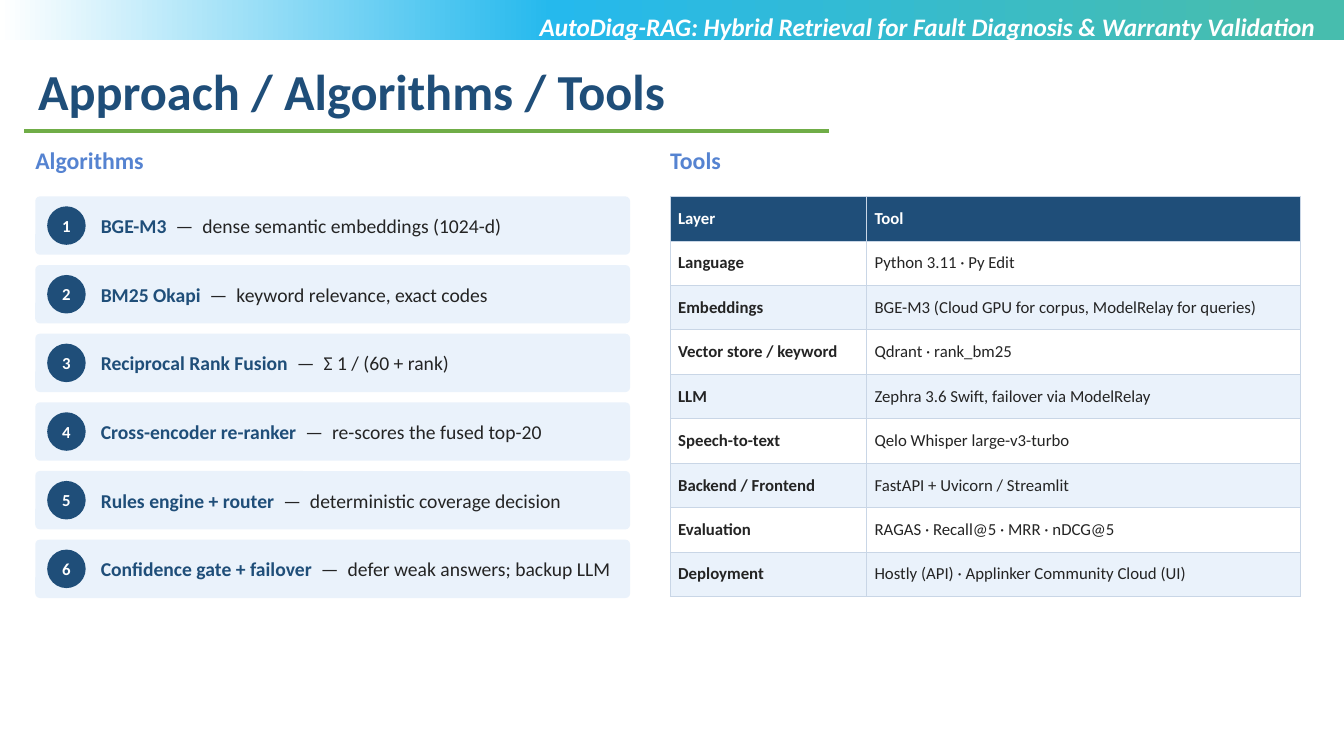
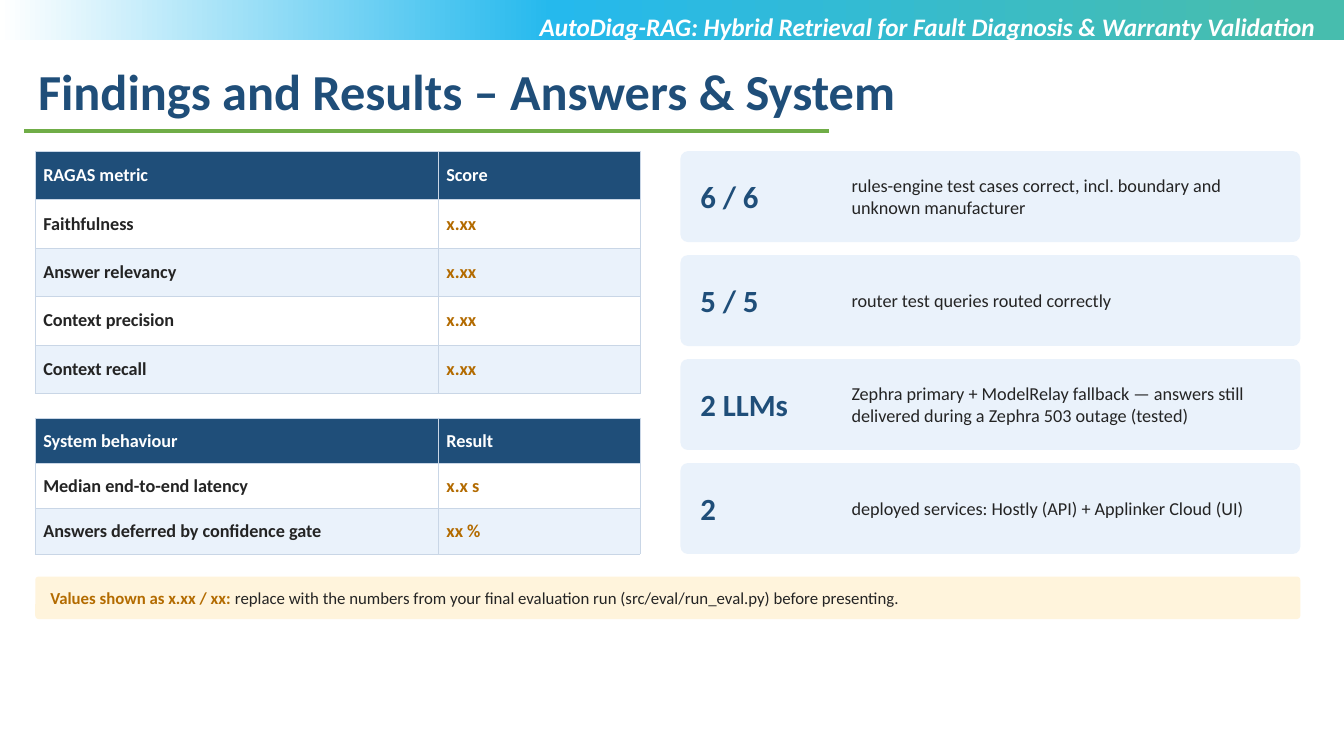
"""Build two slides on the approach and the results of a retrieval project."""
from dataclasses import dataclass
from typing import Any

from lxml.etree import SubElement as Sub
from pptx import Presentation as Deck
from pptx.dml.color import RGBColor as Rgb
from pptx.enum.shapes import MSO_CONNECTOR as Link, MSO_SHAPE as Kind
from pptx.enum.text import MSO_ANCHOR as Anchor, PP_ALIGN as Align
from pptx.oxml.ns import qn
from pptx.util import Cm, Pt

FONT = "Calibri"
NAVY, BLUE, GREEN = "1F4E79", "5583D1", "70AD47"
INK, WHITE, AMBER = "242424", "FFFFFF", "B36B00"
PALE, CREAM, RULE = "EAF2FB", "FFF4DC", "C9D6E6"
BAND = ((0, WHITE), (41, "25B9ED"), (95, "47BDAE"))
HEAD = "AutoDiag-RAG: Hybrid Retrieval for Fault Diagnosis & Warranty Validation"
WIDE, HIGH, LEFT = 33.87, 19.05, 0.89


@dataclass(frozen=True)
class Box:
    x: float
    y: float
    w: float
    h: float

    def cm(self) -> tuple:
        return Cm(self.x), Cm(self.y), Cm(self.w), Cm(self.h)


@dataclass(frozen=True)
class Item:
    name: str
    text: str


@dataclass(frozen=True)
class Grid:
    x: float
    y: float
    cols: tuple
    high: float
    size: int
    rows: tuple
    last: str = INK
    bold: bool = False


STEPS = (
    Item("BGE-M3", "dense semantic embeddings (1024-d)"),
    Item("BM25 Okapi", "keyword relevance, exact codes"),
    Item("Reciprocal Rank Fusion", "Σ 1 / (60 + rank)"),
    Item("Cross-encoder re-ranker", "re-scores the fused top-20"),
    Item("Rules engine + router", "deterministic coverage decision"),
    Item("Confidence gate + failover", "defer weak answers; backup LLM"),
)
TOOLS = Grid(16.89, 4.95, (4.95, 10.92), 1.12, 12, (
    ("Layer", "Tool"),
    ("Language", "Python 3.11 · Py Edit"),
    ("Embeddings", "BGE-M3 (Cloud GPU for corpus, ModelRelay for queries)"),
    ("Vector store / keyword", "Qdrant · rank_bm25"),
    ("LLM", "Zephra 3.6 Swift, failover via ModelRelay"),
    ("Speech-to-text", "Qelo Whisper large-v3-turbo"),
    ("Backend / Frontend", "FastAPI + Uvicorn / Streamlit"),
    ("Evaluation", "RAGAS · Recall@5 · MRR · nDCG@5"),
    ("Deployment", "Hostly (API) · Applinker Community Cloud (UI)"),
))
SCORES = Grid(LEFT, 3.81, (10.16, 5.08), 1.22, 13, (
    ("RAGAS metric", "Score"),
    ("Faithfulness", "x.xx"),
    ("Answer relevancy", "x.xx"),
    ("Context precision", "x.xx"),
    ("Context recall", "x.xx"),
), AMBER, True)
SYSTEM = Grid(LEFT, 10.54, (10.16, 5.08), 1.14, 13, (
    ("System behaviour", "Result"),
    ("Median end-to-end latency", "x.x s"),
    ("Answers deferred by confidence gate", "xx %"),
), AMBER, True)
FACTS = (
    Item("6 / 6", "rules-engine test cases correct, incl. boundary and unknown manufacturer"),
    Item("5 / 5", "router test queries routed correctly"),
    Item("2 LLMs", "Zephra primary + ModelRelay fallback — answers still "
                   "delivered during a Zephra 503 outage (tested)"),
    Item("2", "deployed services: Hostly (API) + Applinker Cloud (UI)"),
)


def tint(code: str) -> Rgb:
    return Rgb.from_string(code)


def write(frame: Any, text: str, *, size: float, color: str = INK, bold: bool = False,
          slant: bool = False, align: Align = Align.LEFT, gap: float = 0) -> None:
    para = frame.paragraphs[0]
    para.alignment = align
    run = para.add_run()
    run.text = text
    font = run.font
    font.name, font.size, font.bold, font.italic = FONT, Pt(size), bold, slant
    font.color.rgb = tint(color)
    if gap:
        run._r.get_or_add_rPr().set("spc", str(round(gap * 100)))


def trim(frame: Any) -> None:
    frame.margin_left = frame.margin_right = frame.margin_top = frame.margin_bottom = 0
    frame.vertical_anchor = Anchor.MIDDLE


def label(slide: Any, box: Box, tight: bool = True) -> Any:
    frame = slide.shapes.add_textbox(*box.cm()).text_frame
    frame.word_wrap = True
    if tight:
        trim(frame)
    return frame


def block(slide: Any, kind: Kind, box: Box, color: str) -> Any:
    shape = slide.shapes.add_shape(kind, *box.cm())
    shape.shadow.inherit = False
    shape.fill.solid()
    shape.fill.fore_color.rgb = tint(color)
    shape.line.fill.background()
    return shape


def card(slide: Any, box: Box, color: str = PALE) -> None:
    block(slide, Kind.ROUNDED_RECTANGLE, box, color).adjustments[0] = 0.08


def band(slide: Any) -> None:
    shape = block(slide, Kind.RECTANGLE, Box(0, 0, WIDE, 1.02), WHITE)
    shape.fill.gradient()
    shape.fill.gradient_angle = 0
    stops = shape.element.spPr.find(qn("a:gradFill")).find(qn("a:gsLst"))
    for old in list(stops):
        stops.remove(old)
    for spot, code in BAND:
        stop = Sub(stops, qn("a:gs"), pos=str(spot * 1000))
        Sub(stop, qn("a:srgbClr"), val=code)
    slide.slide_layout.shapes.element.append(shape.element)


def start(deck: Any, title: str) -> Any:
    slide = deck.slides.add_slide(deck.slide_layouts[6])
    write(label(slide, Box(0.71, 1.4, 29.51, 1.8), False), title,
          size=36, color=NAVY, bold=True)
    line = slide.shapes.add_connector(Link.STRAIGHT, Cm(0.61), Cm(3.3), Cm(20.9), Cm(3.3))
    line.line.color.rgb = tint(GREEN)
    line.line.width = Pt(2.25)
    Sub(line.element.spPr, qn("a:effectLst"))
    write(label(slide, Box(7.87, 0.15, 25.53, 1.8), False), HEAD,
          size=18, color=WHITE, bold=True, slant=True, align=Align.RIGHT)
    return slide


def edge(cell: Any) -> None:
    props = cell._tc.get_or_add_tcPr()
    for side in ("lnL", "lnR", "lnT", "lnB"):
        line = Sub(props, qn(f"a:{side}"), w=str(Pt(0.5)))
        Sub(Sub(line, qn("a:solidFill")), qn("a:srgbClr"), val=RULE)


def table(slide: Any, grid: Grid) -> None:
    count = len(grid.rows)
    box = Box(grid.x, grid.y, sum(grid.cols), grid.high * count)
    body = slide.shapes.add_table(count, len(grid.cols), *box.cm()).table
    body.horz_banding = False
    for col, wide in zip(body.columns, grid.cols):
        col.width = Cm(wide)
    for i, texts in enumerate(grid.rows):
        body.rows[i].height = Cm(grid.high)
        fill = PALE if i % 2 == 0 else WHITE
        for j, text in enumerate(texts):
            cell = body.cell(i, j)
            edge(cell)
            cell.fill.solid()
            cell.fill.fore_color.rgb = tint(fill if i else NAVY)
            cell.margin_left = cell.margin_right = Cm(0.2)
            cell.margin_top = cell.margin_bottom = Cm(0.08)
            cell.vertical_anchor = Anchor.MIDDLE
            color = (grid.last if j else INK) if i else WHITE
            write(cell.text_frame, text, size=grid.size, color=color,
                  bold=i == 0 or j == 0 or grid.bold)


def step(slide: Any, i: int, item: Item) -> None:
    y = 4.95 + 1.73 * i
    card(slide, Box(LEFT, y, 14.99, 1.47))
    dot = block(slide, Kind.OVAL, Box(LEFT + 0.3, y + 0.25, 0.97, 0.97), NAVY)
    trim(dot.text_frame)
    write(dot.text_frame, str(i + 1), size=12, color=WHITE, bold=True, align=Align.CENTER)
    frame = label(slide, Box(2.54, y, 13.08, 1.47))
    write(frame, item.name, size=14, color=NAVY, bold=True)
    write(frame, " —", size=14, gap=3.2)
    write(frame, f" {item.text}", size=14)


def fact(slide: Any, i: int, item: Item) -> None:
    y, high = 3.81 + 2.62 * i, 2.29
    card(slide, Box(17.15, y, 15.62, high))
    write(label(slide, Box(17.65, y, 3.81, high)), item.name,
          size=22, color=NAVY, bold=True)
    write(label(slide, Box(21.46, y, 10.92, high)), item.text, size=13)


def method(deck: Any) -> None:
    slide = start(deck, "Approach / Algorithms / Tools")
    band(slide)
    for x, text in ((LEFT, "Algorithms"), (TOOLS.x, "Tools")):
        frame = label(slide, Box(x, 3.68, 14.99, 1.02))
        frame.vertical_anchor = Anchor.TOP
        write(frame, text, size=17, color=BLUE, bold=True)
    for i, item in enumerate(STEPS):
        step(slide, i, item)
    table(slide, TOOLS)


def results(deck: Any) -> None:
    slide = start(deck, "Findings and Results – Answers & System")
    table(slide, SCORES)
    table(slide, SYSTEM)
    for i, item in enumerate(FACTS):
        fact(slide, i, item)
    card(slide, Box(LEFT, 14.53, 31.88, 1.07), CREAM)
    note = label(slide, Box(1.27, 14.53, 31.24, 1.07))
    write(note, "Values shown as x.xx / xx: ", size=12, color=AMBER, bold=True)
    write(note, "replace with the numbers from your final evaluation run "
                "(src/eval/run_eval.py) before presenting.", size=12)


def main() -> None:
    deck = Deck()
    deck.slide_width, deck.slide_height = Cm(WIDE), Cm(HIGH)
    method(deck)
    results(deck)
    deck.save("out.pptx")


if __name__ == "__main__":
    main()
